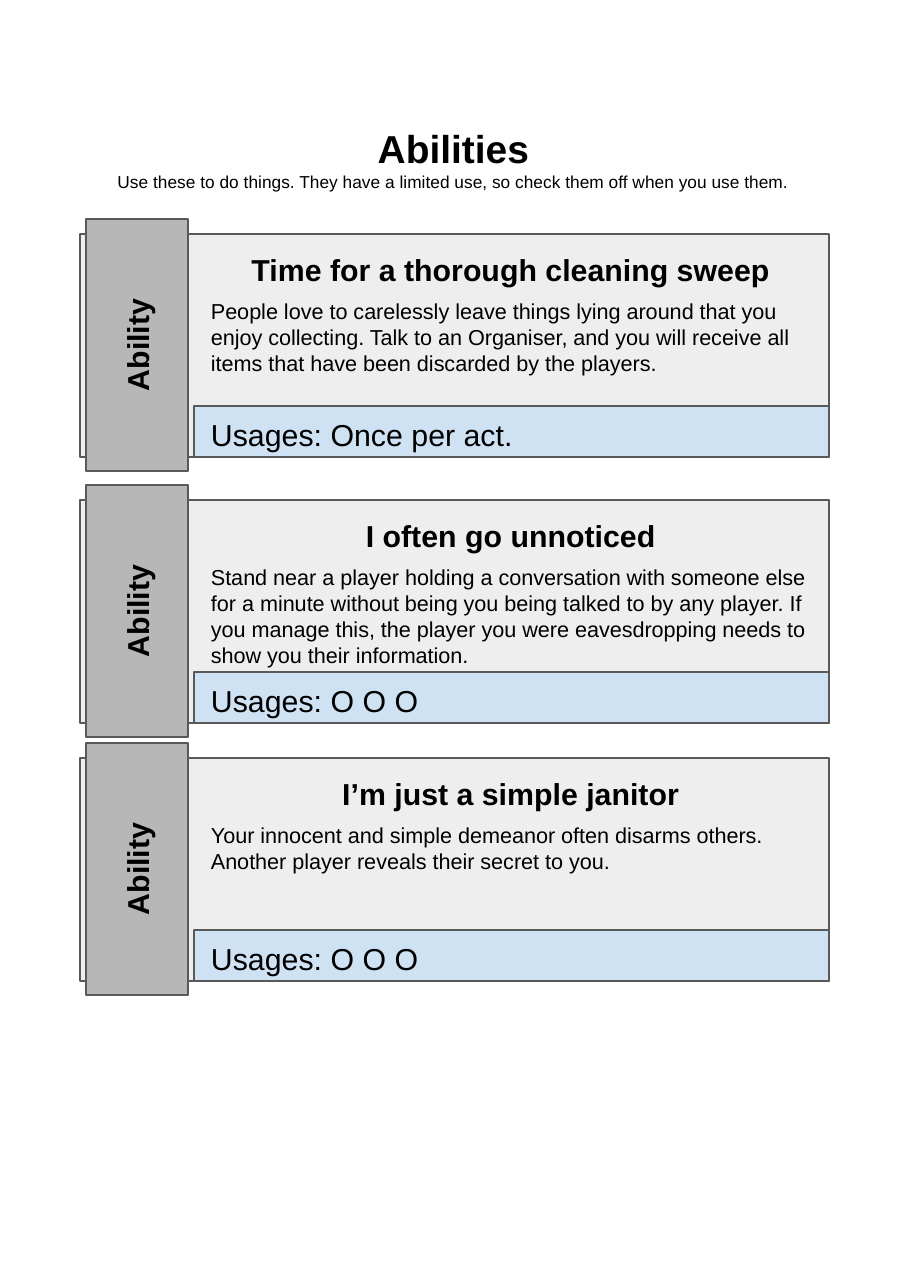
from dataclasses import dataclass

from pptx import Presentation
from pptx.dml.color import RGBColor
from pptx.enum.shapes import MSO_SHAPE
from pptx.enum.text import MSO_ANCHOR, PP_ALIGN
from pptx.util import Pt

RECTANGLE = MSO_SHAPE.RECTANGLE
LEFT, CENTER = PP_ALIGN.LEFT, PP_ALIGN.CENTER
TOP, MIDDLE = MSO_ANCHOR.TOP, MSO_ANCHOR.MIDDLE
EMU_PER_PX = 914400 / 155.7
SLIDE_WIDTH, SLIDE_HEIGHT = 908, 1288


def px(length):
    return round(length * EMU_PER_PX)


@dataclass(frozen=True)
class Theme:
    font: str = "Arial"
    text: str = "000000"
    panel: str = "EEEEEE"
    tab: str = "B7B7B7"
    usage: str = "CFE2F3"
    outline: str = "595959"
    outline_width: float = 0.75
    page_title: int = 18
    heading: int = 14
    body: int = 10
    note: int = 8
    inset: int = 16


class CardSheet:
    def __init__(self, slide, theme):
        self.slide = slide
        self.theme = theme

    def set_text(self, shape, lines, align=LEFT, anchor=TOP):
        """Fill a shape with (text, size, bold) lines."""
        frame = shape.text_frame
        inset = px(self.theme.inset)
        frame_format = {
            "word_wrap": True, "vertical_anchor": anchor,
            "margin_left": inset, "margin_right": inset,
            "margin_top": inset, "margin_bottom": inset,
        }
        for name, value in frame_format.items():
            setattr(frame, name, value)
        for index, (text, size, bold) in enumerate(lines):
            paragraph = frame.add_paragraph() if index else frame.paragraphs[0]
            paragraph.alignment = align
            run = paragraph.add_run()
            run.text = text
            font_format = {"name": self.theme.font, "size": Pt(size), "bold": bold}
            for name, value in font_format.items():
                setattr(run.font, name, value)
            run.font.color.rgb = RGBColor.from_string(self.theme.text)

    def text(self, parent, box, lines, align=LEFT):
        shape = parent.shapes.add_textbox(*map(px, box))
        self.set_text(shape, lines, align)

    def block(self, parent, box, fill, rotation=0):
        shape = parent.shapes.add_shape(RECTANGLE, *map(px, box))
        shape.rotation = rotation
        shape.shadow.inherit = False
        shape.fill.solid()
        shape.fill.fore_color.rgb = RGBColor.from_string(fill)
        shape.line.color.rgb = RGBColor.from_string(self.theme.outline)
        shape.line.width = Pt(self.theme.outline_width)
        return shape

    def card(self, top, title, body, usages):
        theme = self.theme
        group = self.slide.shapes.add_group_shape()
        self.block(group, (80, top, 749, 223), theme.panel)
        # Side tab, turned to read upwards
        tab = self.block(group, (11, top + 60, 252, 102), theme.tab, 270)
        self.set_text(tab, [("Ability", theme.heading, True)], CENTER, MIDDLE)
        # Heading and description
        self.text(group, (195, top + 1, 632, 65), [(title, theme.heading, True)], CENTER)
        self.text(group, (195, top + 48, 632, 72), [(body, theme.body, False)])
        # Usage bar
        self.block(group, (194, top + 172, 635, 51), theme.usage)
        self.text(group, (195, top + 166, 620, 65),
                  [(f"Usages: {usages}", theme.heading, False)])


ABILITIES = [
    (234, "Time for a thorough cleaning sweep",
     "People love to carelessly leave things lying around that you enjoy collecting. "
     "Talk to an Organiser, and you will receive all items that have been discarded "
     "by the players.",
     "Once per act."),
    (500, "I often go unnoticed",
     "Stand near a player holding a conversation with someone else for a minute "
     "without being you being talked to by any player. If you manage this, the player "
     "you were eavesdropping needs to show you their information.",
     "O O O"),
    (758, "I’m just a simple janitor",
     "Your innocent and simple demeanor often disarms others. "
     "Another player reveals their secret to you.",
     "O O O"),
]


def main():
    presentation = Presentation()
    presentation.slide_width = px(SLIDE_WIDTH)
    presentation.slide_height = px(SLIDE_HEIGHT)
    slide = presentation.slides.add_slide(presentation.slide_layouts[6])
    theme = Theme()
    sheet = CardSheet(slide, theme)

    # Page heading
    sheet.text(slide, (36, 109, 835, 142), [
        ("Abilities", theme.page_title, True),
        ("Use these to do things. They have a limited use, "
         "so check them off when you use them.", theme.note, False),
    ], CENTER)

    # Ability cards
    for ability in ABILITIES:
        sheet.card(*ability)

    presentation.save("out.pptx")


if __name__ == "__main__":
    main()
